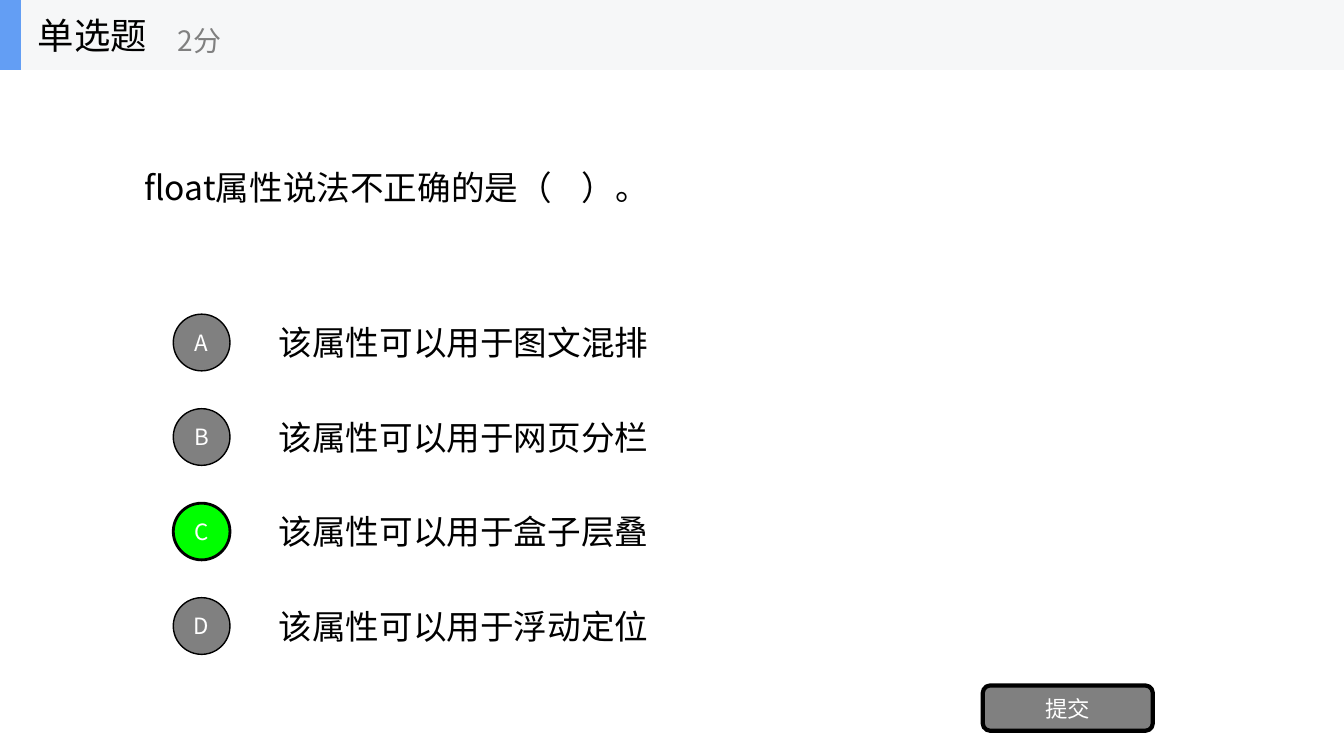
from lxml import etree
from pptx import Presentation
from pptx import util as u
from pptx.dml import color
from pptx.enum import shapes, text
from pptx.oxml import ns

FONT = "Noto Sans CJK SC"
GREY, GREEN, BLACK, WHITE = "808080", "00FF00", "000000", "FFFFFF"
ALIGN = text.PP_ALIGN


def write(shape, words, size=24, colour=BLACK, font=FONT, align=ALIGN.LEFT, wrap=True):
    """Append a run to the shape's first paragraph, vertically centred."""
    frame = shape.text_frame
    frame.word_wrap = wrap
    frame.auto_size = text.MSO_AUTO_SIZE.NONE
    frame.vertical_anchor = text.MSO_ANCHOR.MIDDLE
    paragraph = frame.paragraphs[0]
    paragraph.alignment = align
    run = paragraph.add_run()
    run.text = words
    run.font.size = u.Pt(size)
    run.font.color.rgb = color.RGBColor.from_string(colour)
    run.font.name = font
    east_asian = etree.SubElement(run.font._element, ns.qn("a:ea"))
    east_asian.set("typeface", font)


def add_filled(kind, left, top, width, height, fill, line_width=0):
    shape = slide.shapes.add_shape(kind, u.Pt(left), u.Pt(top), u.Pt(width), u.Pt(height))
    shape.shadow.inherit = False
    shape.fill.solid()
    shape.fill.fore_color.rgb = color.RGBColor.from_string(fill)
    if line_width:
        shape.line.width = u.Pt(line_width)
        shape.line.color.rgb = color.RGBColor.from_string(BLACK)
    else:
        shape.line.fill.background()
    return shape


presentation = Presentation()
presentation.slide_width = u.Pt(960)
presentation.slide_height = u.Pt(540)
slide = presentation.slides.add_slide(presentation.slide_layouts[5])

# Question
question = slide.shapes.title
question.left, question.top = u.Pt(96), u.Pt(49.5)
question.width, question.height = u.Pt(768), u.Pt(168.5)
write(question, "float属性说法不正确的是（    ）")
write(question, "。", font="Calibri")

# Answer options
answers = ["该属性可以用于图文混排", "该属性可以用于网页分栏",
           "该属性可以用于盒子层叠", "该属性可以用于浮动定位"]
correct = "C"
for row, (letter, answer) in enumerate(zip("ABCD", answers)):
    top = 219.4 + 67.5 * row
    option = slide.shapes.add_textbox(u.Pt(192), u.Pt(top), u.Pt(672), u.Pt(50.5))
    write(option, answer)
    fill, line_width = (GREEN, 2) if letter == correct else (GREY, 1)
    bullet = add_filled(shapes.MSO_SHAPE.OVAL, 123.75, top + 5, 40.5, 40.5, fill, line_width)
    write(bullet, letter, size=16, colour=WHITE, align=ALIGN.CENTER)

# Submit button
button = add_filled(shapes.MSO_SHAPE.ROUNDED_RECTANGLE, 702, 489.6, 121.5, 32.4, GREY, 3)
write(button, "提交", size=16, colour=WHITE, align=ALIGN.CENTER)

# Header
add_filled(shapes.MSO_SHAPE.RECTANGLE, 0, 0, 960, 50, "F6F7F8")
add_filled(shapes.MSO_SHAPE.RECTANGLE, 0, 0, 15, 50, "639EF4")
question_type = slide.shapes.add_textbox(u.Pt(20), u.Pt(0), u.Pt(150), u.Pt(50))
write(question_type, "单选题", size=26, wrap=False)
score = slide.shapes.add_textbox(u.Pt(120), u.Pt(8.6), u.Pt(180), u.Pt(40.5))
write(score, "2分", size=20, colour=GREY, wrap=False)

presentation.save("out.pptx")
